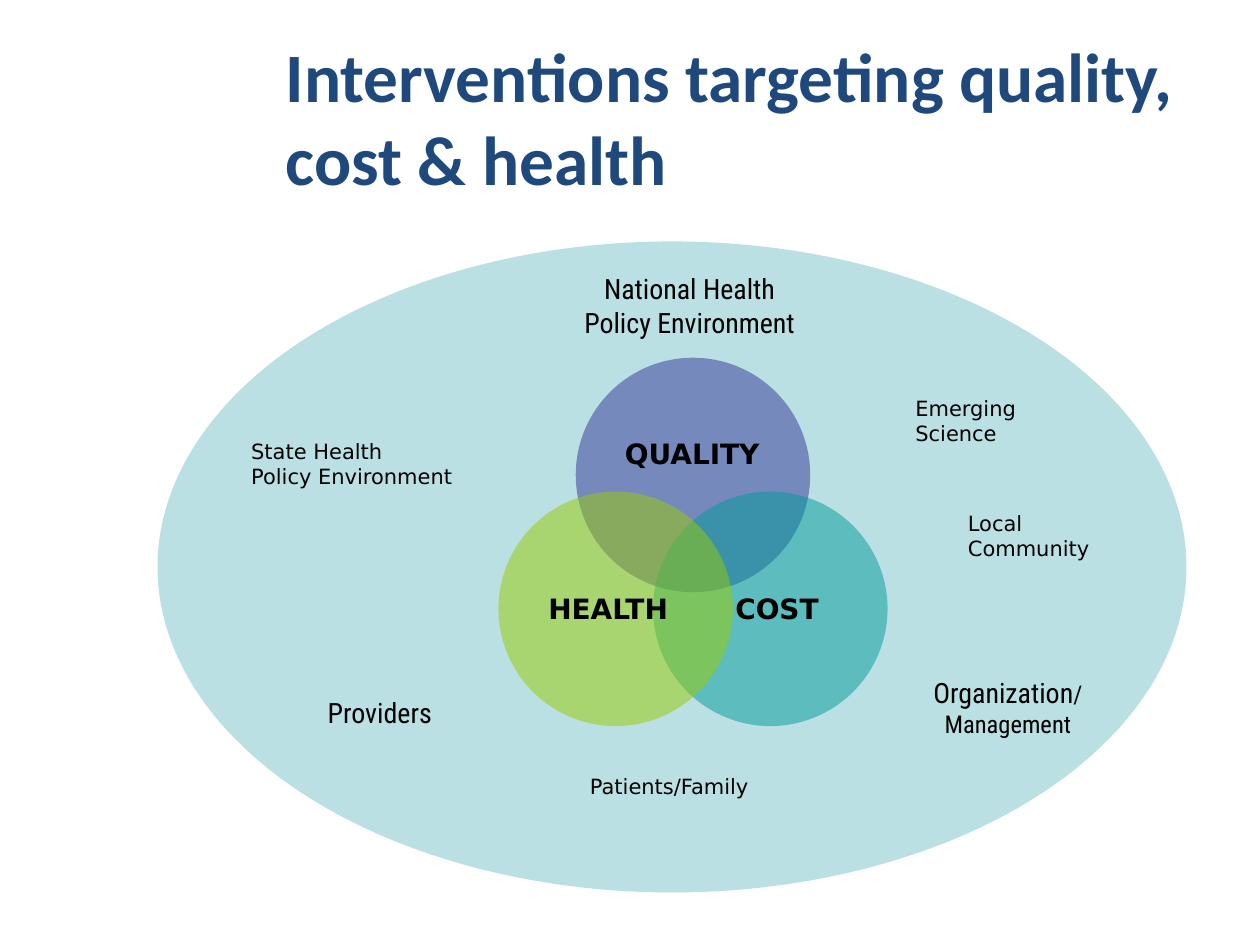
import math

import lxml.etree
import pptx
import pptx.dml.color
import pptx.enum.shapes
import pptx.enum.text
import pptx.oxml.ns
import pptx.util

Pt = pptx.util.Pt
RGBColor = pptx.dml.color.RGBColor
Align = pptx.enum.text.PP_ALIGN
Anchor = pptx.enum.text.MSO_ANCHOR

NAVY = RGBColor(0x1F, 0x49, 0x7D)
PALE_BLUE = RGBColor(0xBB, 0xE0, 0xE3)
INDIGO = RGBColor(0x33, 0x33, 0x99)
TEAL = RGBColor(0x00, 0x99, 0x99)
LIME = RGBColor(0x99, 0xCC, 0x00)
BLACK = RGBColor(0, 0, 0)

TITLE_FONT = "Calibri"
PLAIN_FONT = "DejaVu Sans"
NARROW_FONT = "Roboto Condensed"


class Slide:
    def __init__(self, page):
        self.page = page

    def style(self, font, name, size, color=BLACK, bold=False):
        font.name, font.size, font.bold = name, Pt(size), bold
        font.color.rgb = color

    def title(self, text, left, top, width, height):
        box = self.page.shapes.title
        box.left, box.top, box.width, box.height = map(Pt, (left, top, width, height))
        frame = box.text_frame
        frame.text = text
        frame.auto_size = pptx.enum.text.MSO_AUTO_SIZE.NONE
        frame.vertical_anchor = Anchor.MIDDLE
        para = frame.paragraphs[0]
        para.alignment = Align.LEFT
        self.style(para.font, TITLE_FONT, 39.6, NAVY, bold=True)

    def ellipse(self, left, top, width, height, color, opacity=100):
        shape = self.page.shapes.add_shape(
            pptx.enum.shapes.MSO_SHAPE.OVAL, *map(Pt, (left, top, width, height)))
        shape.shadow.inherit = False
        shape.line.fill.background()
        shape.fill.solid()
        shape.fill.fore_color.rgb = color
        if opacity < 100:
            qn = pptx.oxml.ns.qn
            tint = shape.fill._xPr.find(qn("a:solidFill")).find(qn("a:srgbClr"))
            lxml.etree.SubElement(tint, qn("a:alpha"), val=str(opacity * 1000))

    def label(self, lines, left, top, width, height, name=PLAIN_FONT, size=12,
              bold=False, align=Align.LEFT):
        box = self.page.shapes.add_textbox(*map(Pt, (left, top, width, height)))
        frame = box.text_frame
        frame.text = "\n".join(lines)
        frame.word_wrap = False
        frame.vertical_anchor = Anchor.MIDDLE
        for para in frame.paragraphs:
            para.alignment = align
            self.style(para.font, name, size, bold=bold)
        return frame

    def centered_label(self, lines, left, top):
        frame = self.label(lines, left, top, 134, 33, NARROW_FONT, 16, align=Align.CENTER)
        frame.margin_left = frame.margin_right = 0
        frame.margin_top = frame.margin_bottom = 0
        return frame


def main():
    deck = pptx.Presentation()
    deck.slide_width, deck.slide_height = Pt(720), Pt(540)
    slide = Slide(deck.slides.add_slide(deck.slide_layouts[5]))

    slide.title("Interventions targeting quality, cost & health", 156, 21.6, 528, 90)
    slide.ellipse(90, 138, 588, 372, PALE_BLUE)

    # The circle centres form an equilateral triangle.
    center_x, center_y, reach, diameter = 396, 322.4, 51, 134
    for angle, color in ((-90, INDIGO), (30, TEAL), (150, LIME)):
        left = center_x + reach * math.cos(math.radians(angle)) - diameter / 2
        top = center_y + reach * math.sin(math.radians(angle)) - diameter / 2
        slide.ellipse(left, top, diameter, diameter, color, opacity=50)

    slide.centered_label(["National Health", "Policy Environment"], 327, 158)
    slide.centered_label(["Providers"], 150, 390.5)
    organization = slide.centered_label(["Organization", "Management"], 509, 387.5)
    first, second = organization.paragraphs
    slash = first.add_run()
    slash.text = "/"
    slash.font.size = second.font.size = Pt(14)

    for lines, left, top, width, height in (
            (["State Health", "Policy Environment"], 136.5, 246.5, 130, 36.5),
            (["Emerging", "Science"], 516, 222, 73, 36.5),
            (["Local", "Community"], 546, 288, 84, 36.5),
            (["Patients/Family"], 330, 438, 107, 22)):
        slide.label(lines, left, top, width, height)

    for text, left, top, width, align in (
            ("QUALITY", 350, 245.5, 96, Align.LEFT),
            ("HEALTH", 299.5, 334.5, 96, Align.CENTER),
            ("COST", 405, 334.5, 78, Align.CENTER)):
        slide.label([text], left, top, width, 26.5, size=16, bold=True, align=align)

    deck.save("out.pptx")


if __name__ == "__main__":
    main()
